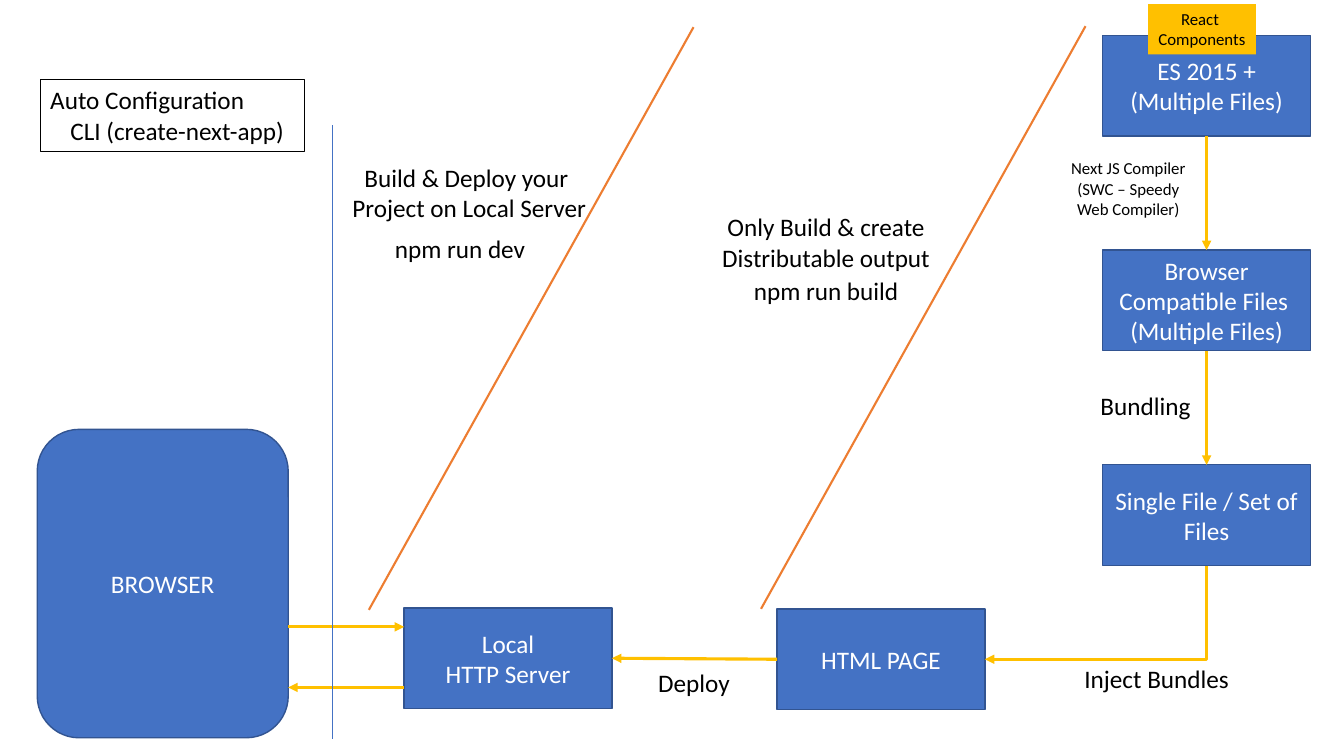
from dataclasses import dataclass

import pptx
import pptx.dml.color
import pptx.enum.shapes
import pptx.enum.text
import pptx.oxml
import pptx.oxml.ns
import pptx.util

Pt = pptx.util.Pt
SHAPE = pptx.enum.shapes.MSO_SHAPE
CONNECTOR = pptx.enum.shapes.MSO_CONNECTOR
ALIGN = pptx.enum.text.PP_ALIGN
ANCHOR = pptx.enum.text.MSO_ANCHOR
AUTO_SIZE = pptx.enum.text.MSO_AUTO_SIZE
qn = pptx.oxml.ns.qn

BLUE, DARK_BLUE, AMBER, ORANGE = "4472C4", "325491", "FFC000", "ED7D31"
BLACK, WHITE = "000000", "FFFFFF"
BOX_W, BOX_H = 148.4, 72
STAGE_X, STAGE_Y, STAGE_STEP = 787.7, 25.2, 153.4
TOP, LEFT, BOTTOM, RIGHT = range(4)


@dataclass
class Box:
    name: str
    x: float
    y: float
    lines: list[str]
    w: float = BOX_W
    h: float = BOX_H
    kind: int = SHAPE.RECTANGLE


@dataclass
class Label:
    x: float
    y: float
    w: float
    h: float
    lines: list[str]
    size: float = 18
    align: int = ALIGN.LEFT
    wrap: bool = False
    fill: str | None = None
    outline: str | None = None
    indent: float = 0  # left margin of every line after the first


@dataclass
class Line:
    start: tuple[float, float]
    end: tuple[float, float]
    color: str
    width: float
    arrow: bool = False


BOXES = [
    Box("source", STAGE_X, STAGE_Y, ["ES 2015 +", "(Multiple Files)"]),
    Box("compiled", STAGE_X, STAGE_Y + STAGE_STEP,
        ["Browser Compatible Files ", "(Multiple Files)"]),
    Box("bundle", STAGE_X, STAGE_Y + 2 * STAGE_STEP, ["Single File / Set of Files"]),
    Box("page", 555.1, 434.9, ["HTML PAGE"]),
    Box("server", 288.7, 434.2, ["Local", "HTTP Server"]),
    Box("browser", 26.6, 306.7, ["BROWSER"], 179.3, 220.3, SHAPE.ROUNDED_RECTANGLE),
]

LABELS = [
    Label(28.8, 56.9, 188.6, 51.1, ["Auto Configuration", "CLI (create-next-app)"],
          wrap=True, outline=BLACK, indent=14.4),
    Label(820.1, 2.9, 77, 36, ["React ", "Components"], 12, ALIGN.CENTER, fill=AMBER),
    Label(753.1, 109.4, 105.8, 51.1, ["Next JS Compiler", "(SWC – Speedy Web Compiler)"],
          12, ALIGN.CENTER, wrap=True),
    Label(779, 275, 79.9, 28.8, ["Bundling"]),
    Label(767.5, 470.2, 118.8, 28.8, ["Inject Bundles"]),
    Label(463, 473, 66.2, 28.8, ["Deploy"]),
    Label(275, 163.4, 108.7, 28.8, ["npm run dev"]),
    Label(243.4, 112.3, 183.6, 51.1, ["Build & Deploy your ", "Project on Local Server"],
          align=ALIGN.CENTER),
    Label(507.6, 147.6, 164.9, 51.1, ["Only Build & create", "Distributable output"],
          align=ALIGN.CENTER),
    Label(531.4, 193, 119.5, 28.8, ["npm run build"]),
]

LINES = [
    Line((288.7, 491), (205.9, 491), AMBER, 2.25, True),
    Line((205.9, 447.8), (288.7, 447.8), AMBER, 2.25, True),
    Line((237.6, 89.3), (237.6, 527.8), BLUE, 0.5),
    Line((775.4, 18.7), (543.6, 434.9), ORANGE, 1.5),
    Line((495.4, 19.4), (263.5, 435.6), ORANGE, 1.5),
]

# Straight flow arrows: from box, side, to box, side
FLOWS = [
    ("source", BOTTOM, "compiled", TOP),
    ("compiled", BOTTOM, "bundle", TOP),
    ("page", LEFT, "server", RIGHT),
]


def rgb(color: str) -> pptx.dml.color.RGBColor:
    return pptx.dml.color.RGBColor.from_string(color)


def write_text(tf, lines: list[str], *, size: float = 18, color: str = BLACK,
               align: int = ALIGN.CENTER, anchor: int = ANCHOR.TOP,
               wrap: bool = True, indent: float = 0) -> None:
    tf.word_wrap = wrap
    tf.vertical_anchor = anchor
    for i, text in enumerate(lines):
        p = tf.add_paragraph() if i else tf.paragraphs[0]
        p.alignment = align
        if i and indent:
            p._p.get_or_add_pPr().set("marL", str(Pt(indent)))
        r = p.add_run()
        r.text = text
        r.font.name, r.font.size = "Calibri", Pt(size)
        r.font.color.rgb = rgb(color)


def paint(sp, fill: str | None, outline: str | None, width: float) -> None:
    sp.shadow.inherit = False
    if fill:
        sp.fill.solid()
        sp.fill.fore_color.rgb = rgb(fill)
    else:
        sp.fill.background()
    if outline:
        sp.line.color.rgb = rgb(outline)
        sp.line.width = Pt(width)
    else:
        sp.line.fill.background()


def draw_box(s, box: Box):
    sp = s.shapes.add_shape(box.kind, Pt(box.x), Pt(box.y), Pt(box.w), Pt(box.h))
    paint(sp, BLUE, DARK_BLUE, 1)
    write_text(sp.text_frame, box.lines, color=WHITE, anchor=ANCHOR.MIDDLE)
    return sp


def draw_label(s, label: Label) -> None:
    at = Pt(label.x), Pt(label.y), Pt(label.w), Pt(label.h)
    if label.fill or label.outline:
        sp = s.shapes.add_shape(SHAPE.RECTANGLE, *at)
        paint(sp, label.fill, label.outline, 0.75)
    else:
        sp = s.shapes.add_textbox(*at)
    write_text(sp.text_frame, label.lines, size=label.size, align=label.align,
               wrap=label.wrap, indent=label.indent)
    sp.text_frame.auto_size = AUTO_SIZE.SHAPE_TO_FIT_TEXT


def draw_line(s, line: Line, kind: int = CONNECTOR.STRAIGHT):
    cx = s.shapes.add_connector(kind, *(Pt(v) for v in line.start + line.end))
    cx.line.color.rgb = rgb(line.color)
    cx.line.width = Pt(line.width)
    if line.arrow:
        tail = pptx.oxml.ns.nsdecls("a")
        cx.line._get_or_add_ln().append(
            pptx.oxml.parse_xml(f'<a:tailEnd {tail} type="triangle"/>'))
    cx._element.spPr.append(
        pptx.oxml.parse_xml(f'<a:effectLst {pptx.oxml.ns.nsdecls("a")}/>'))
    return cx


def draw_elbow(s, line: Line) -> None:
    """One-bend arrow going down, then left: a quarter-turned bentConnector2."""
    (x1, y1), (x2, y2) = line.start, line.end
    mid_x, mid_y, w, h = (x1 + x2) / 2, (y1 + y2) / 2, y2 - y1, x1 - x2
    corner = Line((mid_x - w / 2, mid_y - h / 2), (mid_x + w / 2, mid_y + h / 2),
                  line.color, line.width, line.arrow)
    spPr = draw_line(s, corner, CONNECTOR.ELBOW)._element.spPr
    spPr.find(qn("a:xfrm")).set("rot", str(90 * 60000))
    spPr.find(qn("a:prstGeom")).set("prst", "bentConnector2")


def main() -> None:
    prs = pptx.Presentation()
    prs.slide_width, prs.slide_height = Pt(960), Pt(540)
    s = prs.slides.add_slide(prs.slide_layouts[6])

    # Boxes and the arrows between them
    shapes = {box.name: draw_box(s, box) for box in BOXES}
    for source, out_side, target, in_side in FLOWS:
        cx = draw_line(s, Line((0, 0), (0, 0), AMBER, 2.25, True))
        cx.begin_connect(shapes[source], out_side)
        cx.end_connect(shapes[target], in_side)
    draw_elbow(s, Line((STAGE_X + BOX_W / 2, STAGE_Y + 2 * STAGE_STEP + BOX_H),
                       (555.1 + BOX_W, 434.9 + BOX_H / 2), AMBER, 2.25, True))

    # Browser traffic, dividers and labels
    for line in LINES:
        draw_line(s, line)
    for label in LABELS:
        draw_label(s, label)

    prs.save("out.pptx")


if __name__ == "__main__":
    main()
